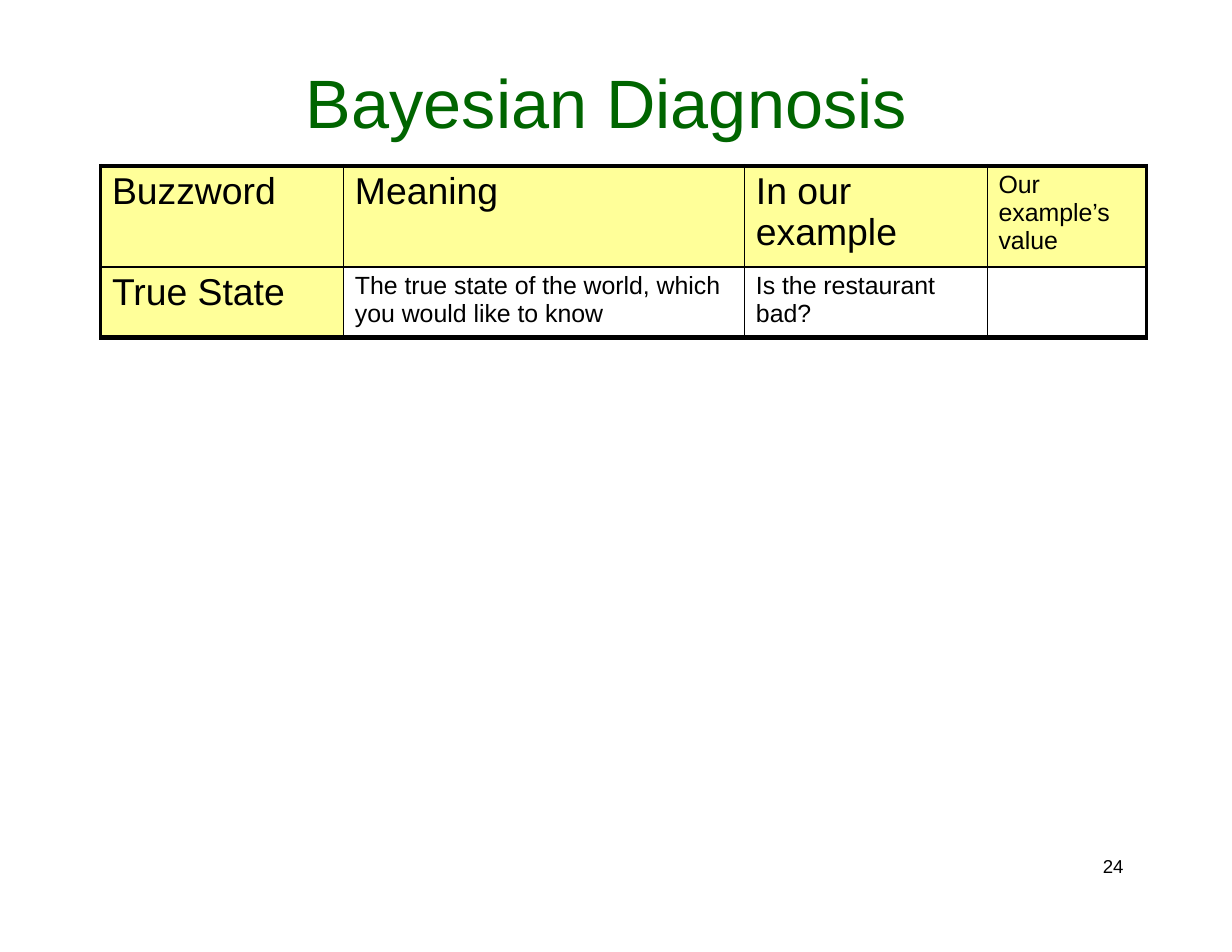
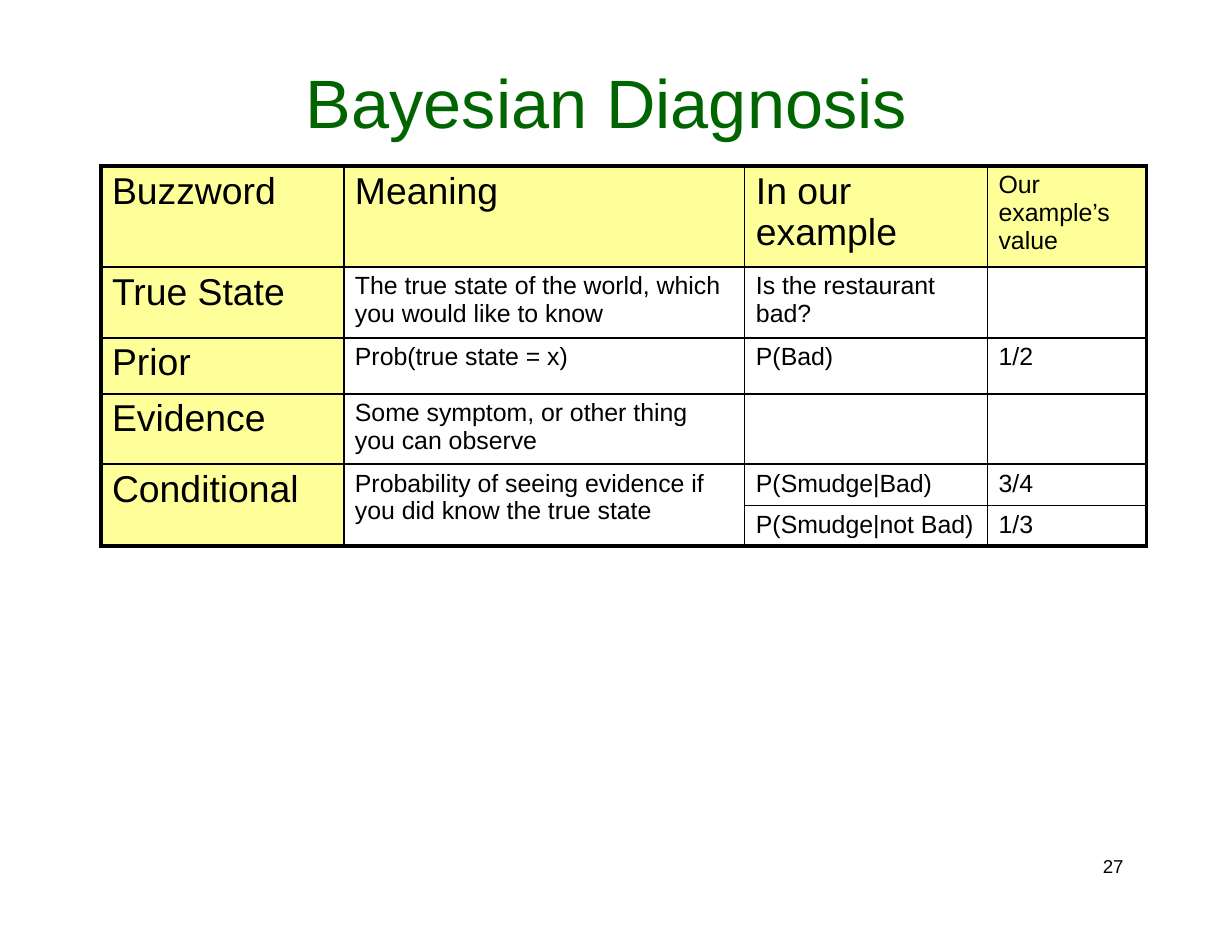
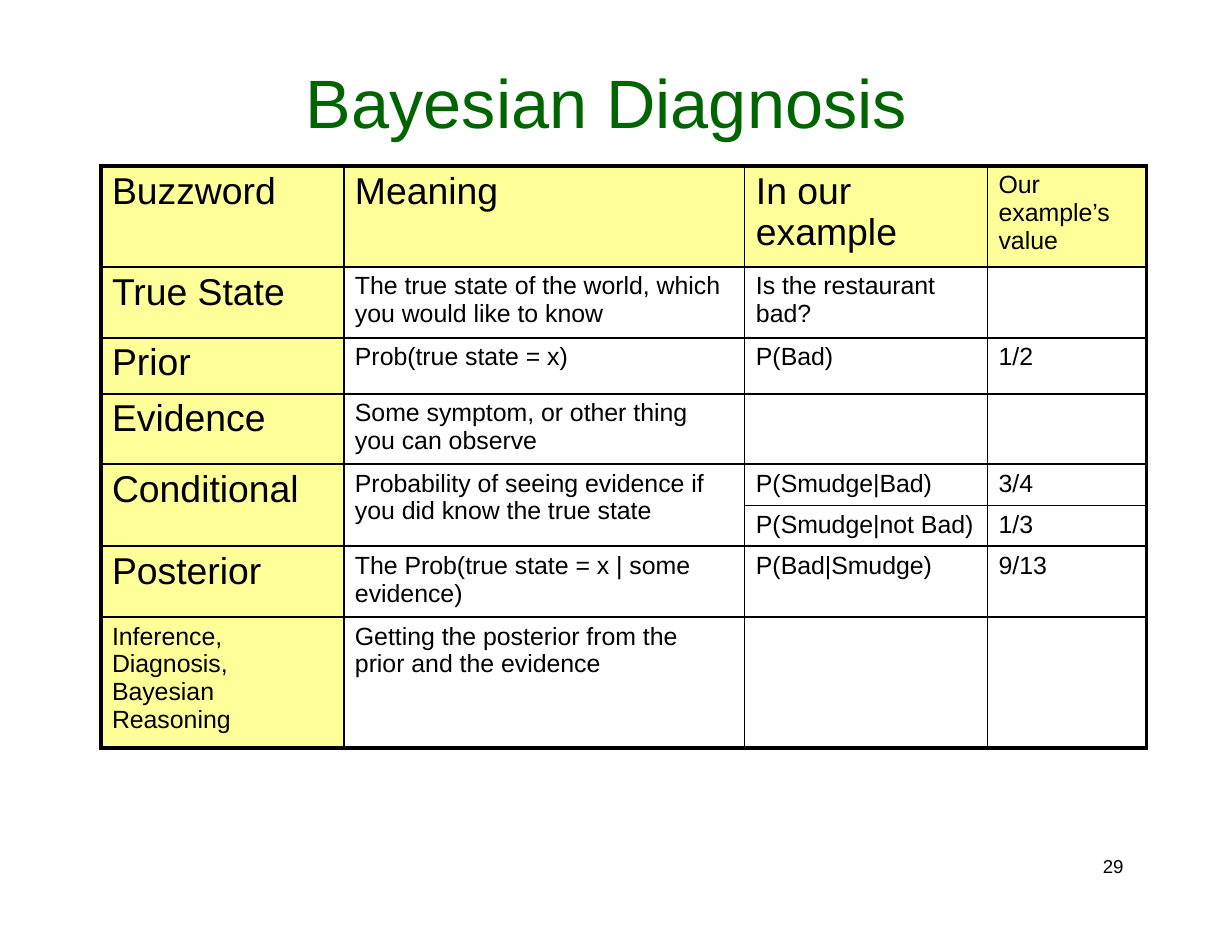
from lxml import etree
from pptx import Presentation
from pptx.dml.color import RGBColor
from pptx.enum import text
from pptx.oxml import ns
from pptx.util import Pt

# Content: None marks a cell merged with the one above it
TITLE = "Bayesian Diagnosis"
GLOSSARY = [
    ("Buzzword", "Meaning", "In our\vexample", "Our\vexample’s\vvalue"),
    ("True State", "The true state of the world, which\vyou would like to know",
     "Is the restaurant\vbad?", ""),
    ("Prior", "Prob(true state = x)", "P(Bad)", "1/2"),
    ("Evidence", "Some symptom, or other thing\vyou can observe", "", ""),
    ("Conditional", "Probability of seeing evidence if\vyou did know the true state",
     "P(Smudge|Bad)", "3/4"),
    (None, None, "P(Smudge|not Bad)", "1/3"),
    ("Posterior", "The Prob(true state = x | some\vevidence)", "P(Bad|Smudge)", "9/13"),
    ("Inference,\vDiagnosis,\vBayesian\vReasoning",
     "Getting the posterior from the\vprior and the evidence", "", ""),
]
SMALL_HEADS = {GLOSSARY[0][3], GLOSSARY[7][0]}
# Page number, glossary rows shown, left edge and first column line widths
SLIDES = [(24, 2, 2.25, 1), (27, 6, 3, 1.5), (29, 8, 3, 1.5)]

# Shared look
FONT = "Arial"
BLACK = RGBColor(0, 0, 0)
GREEN = RGBColor(0x00, 0x65, 0x00)
YELLOW = RGBColor(0xFF, 0xFF, 0x99)
COLUMN_WIDTHS = [156.2, 257.8, 156, 102.2]
ROW_HEIGHTS = [64.8, 45.5, 36, 45.5, 26.4, 26.4, 45.5, 84]
TABLE_LEFT, TABLE_TOP = 64.8, 106.7


def write(frame, words, size, color=BLACK, indent=0.0, before=0.0, spacing=None):
    frame.word_wrap = True
    paragraph = frame.paragraphs[0]
    paragraph.text = words
    paragraph.alignment = text.PP_ALIGN.LEFT
    paragraph.space_before = Pt(before)
    if spacing:
        paragraph.line_spacing = Pt(spacing)
    properties = paragraph._p.get_or_add_pPr()
    properties.set("marL", str(Pt(indent)))
    properties.set("indent", "0")
    for run in paragraph.runs:
        run.font.name = FONT
        run.font.size = Pt(size)
        run.font.color.rgb = color


def set_margins(holder, top):
    holder.margin_left = holder.margin_right = holder.margin_bottom = 0
    holder.margin_top = Pt(top)


def draw_borders(cell, **widths):
    properties = cell._tc.get_or_add_tcPr()
    for side in "LRTB":
        line = etree.SubElement(properties, ns.qn(f"a:ln{side}"), w=str(Pt(widths[side])))
        fill = etree.SubElement(line, ns.qn("a:solidFill"))
        etree.SubElement(fill, ns.qn("a:srgbClr"), val=str(BLACK))


def add_title(slide):
    title = slide.shapes.title
    title.left, title.top, title.width, title.height = map(Pt, (195.8, 37.4, 389, 54.7))
    frame = title.text_frame
    frame.auto_size = text.MSO_AUTO_SIZE.NONE
    frame.vertical_anchor = text.MSO_ANCHOR.TOP
    set_margins(frame, 0.9)
    write(frame, TITLE, 44, color=GREEN, indent=0.9, before=0.9)


def add_page_number(slide, number):
    frame = slide.shapes.add_textbox(*map(Pt, (707, 550, 17.5, 15))).text_frame
    set_margins(frame, 0)
    write(frame, str(number), 12, indent=2, spacing=14.2)


def add_glossary(slide, count, left_edge, first_divider):
    rows = GLOSSARY[:count]
    heights = ROW_HEIGHTS[:count]
    table = slide.shapes.add_table(
        count, len(COLUMN_WIDTHS), Pt(TABLE_LEFT), Pt(TABLE_TOP),
        Pt(sum(COLUMN_WIDTHS)), Pt(sum(heights))).table
    table.first_row = table.horz_banding = False
    for column, width in zip(table.columns, COLUMN_WIDTHS):
        column.width = Pt(width)
    for row, height in zip(table.rows, heights):
        row.height = Pt(height)

    # Line widths along each grid line; the split row has a thinner one
    verticals = [left_edge, first_divider, 1, 1, 2.25]
    horizontals = [3] + [1 if None in row else 1.5 for row in rows[1:]] + [3]
    for r, row in enumerate(rows):
        for c, words in enumerate(row):
            cell = table.cell(r, c)
            heading = r == 0 or c == 0
            large = heading and words not in SMALL_HEADS
            set_margins(cell, 2.9 if large else 3.6)
            last = r
            while last + 1 < count and rows[last + 1][c] is None:
                last += 1
            draw_borders(cell, L=verticals[c], R=verticals[c + 1],
                         T=horizontals[r], B=horizontals[last + 1])
            if heading:
                cell.fill.solid()
                cell.fill.fore_color.rgb = YELLOW
            else:
                cell.fill.background()
            if last > r:
                cell.merge(table.cell(last, c))
            if words:
                write(cell.text_frame, words, 24 if large else 16,
                      indent=7.2, before=2.9 if large else 3.2)


def main():
    deck = Presentation()
    deck.slide_width, deck.slide_height = Pt(792), Pt(612)
    for number, count, left_edge, first_divider in SLIDES:
        slide = deck.slides.add_slide(deck.slide_layouts[5])
        add_page_number(slide, number)
        add_title(slide)
        add_glossary(slide, count, left_edge, first_divider)
    deck.save("out.pptx")


if __name__ == "__main__":
    main()
